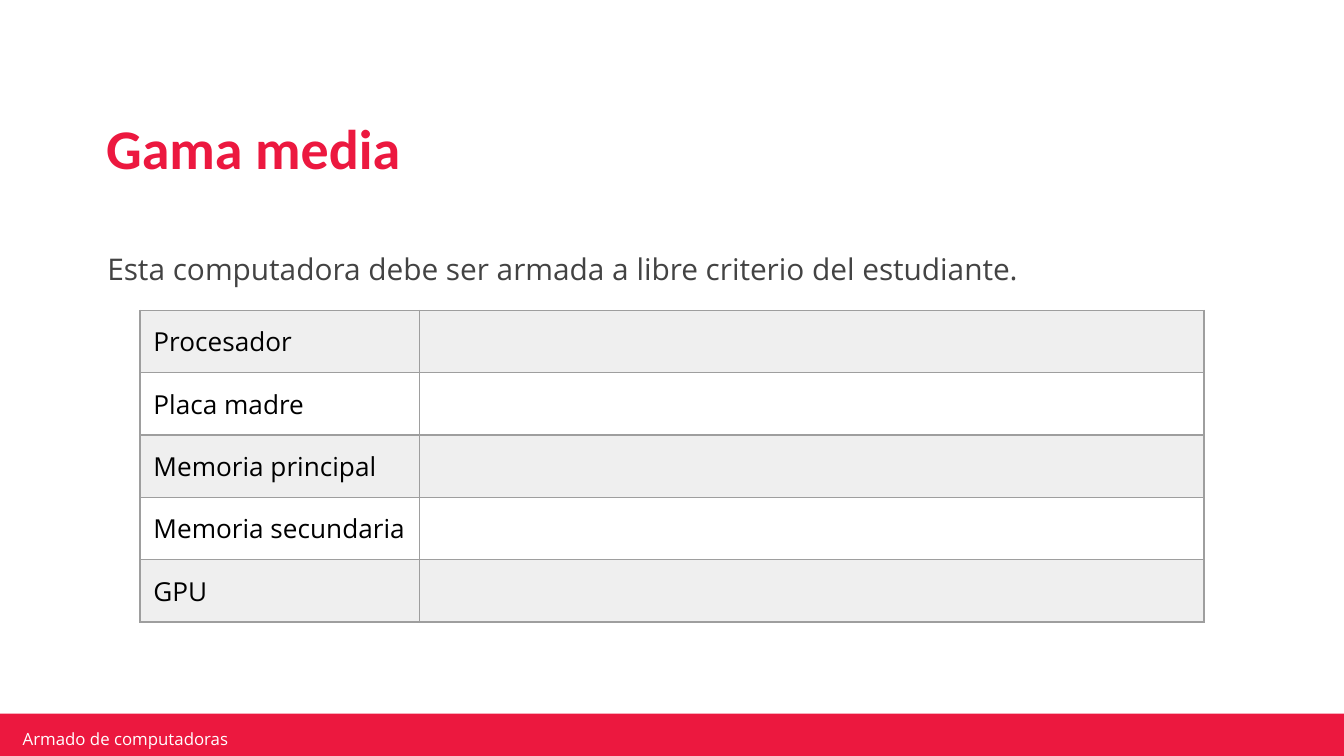
from dataclasses import dataclass

from lxml.etree import SubElement
from pptx import Presentation
from pptx.dml.color import RGBColor
from pptx.enum.dml import MSO_LINE
from pptx.enum.shapes import MSO_CONNECTOR, MSO_SHAPE
from pptx.enum.text import MSO_ANCHOR, PP_ALIGN
from pptx.oxml.ns import qn
from pptx.util import Pt


@dataclass(frozen=True)
class Theme:
    red: str = "EC183F"
    pink: str = "FCD8D6"
    white: str = "FFFFFF"
    black: str = "000000"
    body_gray: str = "434343"
    band_gray: str = "EFEFEF"
    border_gray: str = "9E9E9E"
    heading_font: str = "Calibri"
    body_font: str = "Open Sans"
    title_size: float = 30
    body_size: float = 16
    table_size: float = 14
    footer_size: float = 9
    line_width: float = 0.75


THEME = Theme()
COMPONENTS = ["Procesador", "Placa madre", "Memoria principal",
              "Memoria secundaria", "GPU"]


def rgb(value):
    return RGBColor.from_string(value)


def style_paragraph(p, font, size, color, bold=False):
    p.font.name = font
    p.font.size = Pt(size)
    p.font.color.rgb = rgb(color)
    p.font.bold = bold


def add_text(s, text, box, inset, font, size, color, bold=False,
             spacing=1.0, anchor=MSO_ANCHOR.MIDDLE):
    tf = s.shapes.add_textbox(*map(Pt, box)).text_frame
    tf.word_wrap = True
    tf.vertical_anchor = anchor
    tf.margin_left = tf.margin_right = Pt(inset[0])
    tf.margin_top = tf.margin_bottom = Pt(inset[1])
    p = tf.paragraphs[0]
    p.text = text
    p.alignment = PP_ALIGN.LEFT
    p.line_spacing = spacing
    style_paragraph(p, font, size, color, bold)


def add_footer(s):
    # Dotted rule along the top of the band
    rule = s.shapes.add_connector(MSO_CONNECTOR.STRAIGHT, Pt(-1.5), Pt(383),
                                  Pt(721.5), Pt(383))
    rule.line.color.rgb = rgb(THEME.pink)
    rule.line.width = Pt(THEME.line_width)
    rule.line.dash_style = MSO_LINE.ROUND_DOT
    SubElement(rule.element.spPr, qn("a:effectLst"))

    # Solid band
    band = s.shapes.add_shape(MSO_SHAPE.RECTANGLE, Pt(-1.5), Pt(382.3),
                              Pt(722.5), Pt(26))
    band.shadow.inherit = False
    band.fill.solid()
    band.fill.fore_color.rgb = rgb(THEME.red)
    band.line.fill.background()

    add_text(s, "Armado de computadoras", (8.6, 390.2, 172, 10.8), (3.6, 1.4),
             THEME.body_font, THEME.footer_size, THEME.white)


def set_borders(cell):
    tc_pr = cell._tc.get_or_add_tcPr()
    for i, side in enumerate(("lnL", "lnR", "lnT", "lnB")):
        ln = tc_pr.makeelement(qn(f"a:{side}"), {"w": str(Pt(THEME.line_width))})
        fill = SubElement(ln, qn("a:solidFill"))
        SubElement(fill, qn("a:srgbClr"), val=THEME.border_gray)
        tc_pr.insert(i, ln)


def style_cell(cell, text, fill):
    cell.margin_left = cell.margin_right = Pt(7.2)
    # Empty cells need no vertical padding, so the labels set the row height
    cell.margin_top = cell.margin_bottom = Pt(7.2 if text else 0)
    cell.fill.solid()
    cell.fill.fore_color.rgb = rgb(fill)
    set_borders(cell)
    if text:
        p = cell.text_frame.paragraphs[0]
        p.text = text
        style_paragraph(p, THEME.body_font, THEME.table_size, THEME.black)


def add_component_table(s, labels, left, top, widths, row_height):
    table = s.shapes.add_table(len(labels), len(widths), Pt(left), Pt(top),
                               Pt(sum(widths)),
                               Pt(row_height * len(labels))).table
    table.first_row = table.horz_banding = False
    for column, width in zip(table.columns, widths):
        column.width = Pt(width)
    for i, label in enumerate(labels):
        table.rows[i].height = Pt(row_height)
        fill = THEME.white if i % 2 else THEME.band_gray
        for j, text in enumerate((label, "")):
            style_cell(table.cell(i, j), text, fill)


def main():
    prs = Presentation()
    prs.slide_width, prs.slide_height = Pt(720), Pt(405)
    s = prs.slides.add_slide(prs.slide_layouts[6])

    add_footer(s)

    # Title
    add_text(s, "Gama media", (50.4, 47.5, 604.8, 67), (6.5, 2.9),
             THEME.heading_font, THEME.title_size, THEME.red, bold=True,
             spacing=0.9)

    # Component list to fill in
    add_component_table(s, COMPONENTS, 75, 166.3, (149.6, 420.4), 33.4)

    # Instruction
    add_text(s, "Esta computadora debe ser armada a libre criterio del estudiante.",
             (50.4, 121, 635.8, 21.6), (7.2, 3.6), THEME.body_font,
             THEME.body_size, THEME.body_gray, spacing=1.5,
             anchor=MSO_ANCHOR.TOP)

    prs.save("out.pptx")


if __name__ == "__main__":
    main()
